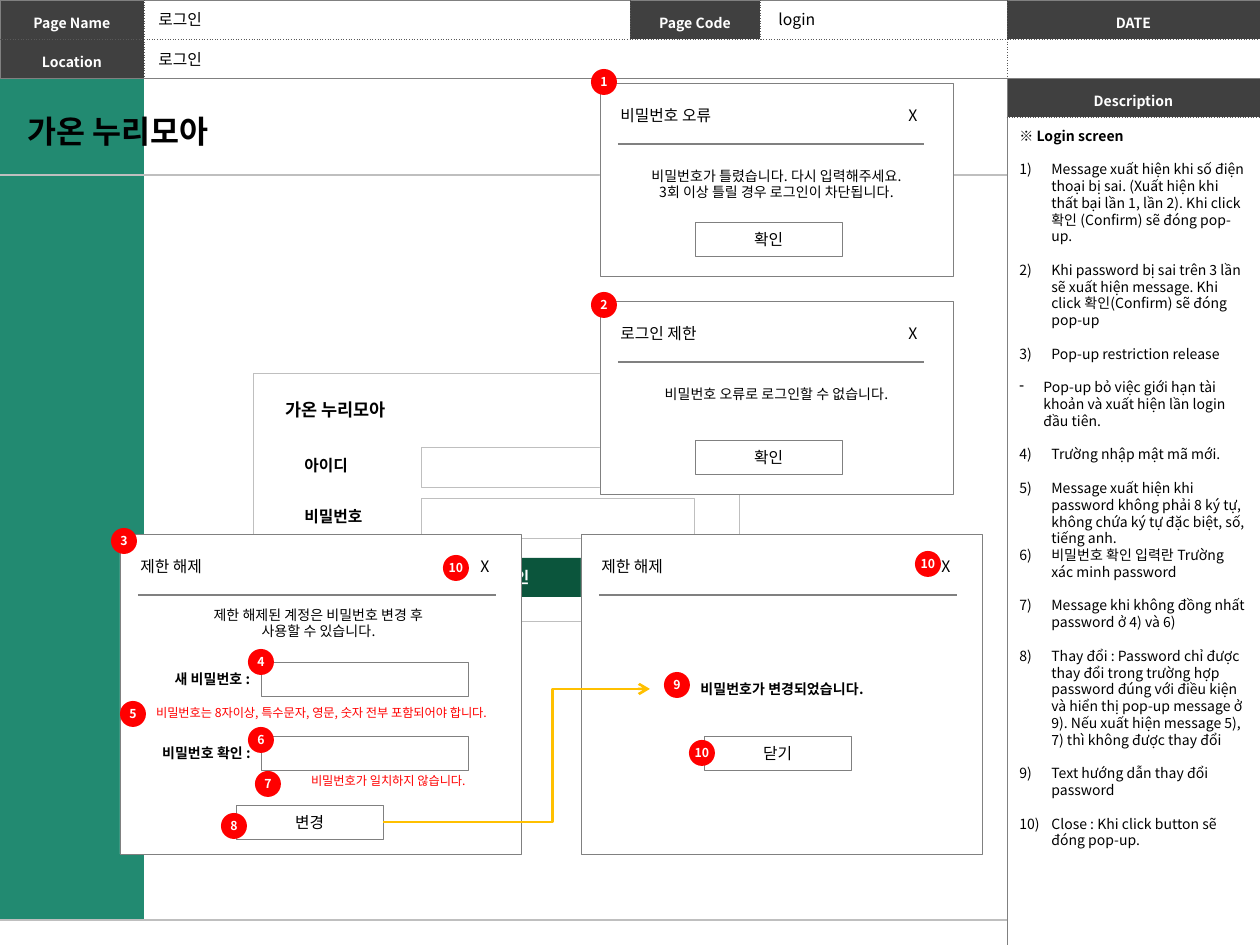
from lxml.etree import SubElement
from pptx import Presentation
from pptx.dml.color import RGBColor
from pptx.enum.shapes import MSO_CONNECTOR as Connector, MSO_SHAPE as Shape
from pptx.enum.text import MSO_ANCHOR as Anchor, PP_ALIGN as Align
from pptx.oxml import parse_xml
from pptx.oxml.ns import nsdecls, qn
from pptx.util import Emu, Pt

FONT = "Noto Sans CJK KR"
SERVICE = "가온 누리모아"
BLACK, WHITE, RED, GRAY, LIGHT = "000000", "FFFFFF", "FF0000", "808080", "BFBFBF"
DARK, DOTTED, GREEN, DEEP_GREEN, AMBER = "404040", "595959", "228A71", "0B553C", "FFC000"
LEFT, CENTER, RIGHT = Align.LEFT, Align.CENTER, Align.RIGHT

NOTES = [
    (None, "※ Login screen", False),
    (1, "Message xuất hiện khi số điện thoại bị sai. (Xuất hiện khi thất bại lần 1, lần 2). Khi click 확인 (Confirm) sẽ đóng pop-up.", True),
    (1, "Khi password bị sai trên 3 lần sẽ xuất hiện message. Khi click 확인(Confirm) sẽ đóng pop-up", True),
    (1, "Pop-up restriction release", True),
    ("-", "Pop-up bỏ việc giới hạn tài khoản và xuất hiện lần login đầu tiên.", True),
    (4, "Trường nhập mật mã mới.", True),
    (4, "Message xuất hiện khi password không phải 8 ký tự, không chứa ký tự đặc biệt, số, tiếng anh.", True),
    (4, "비밀번호 확인 입력란 Trường xác minh password", False),
    (4, "Message khi không đồng nhất password ở 4) và 6)", True),
    (4, "Thay đổi : Password chỉ được thay đổi trong trường hợp password đúng với điều kiện và hiển thị pop-up message ở 9). Nếu xuất hiện message 5), 7) thì không được thay đổi", True),
    (4, "Text hướng dẫn thay đổi password", True),
    (4, "Close : Khi click button sẽ đóng pop-up.", True),
]
BADGES = [
    (1, 591, 69), (2, 591, 292), (3, 111, 528), (4, 248, 649), (5, 120, 701), (6, 248, 727),
    (7, 255, 771), (8, 221, 813), (9, 664, 672), (10, 689, 740), (10, 915, 551), (10, 443, 555),
]


def px(count):
    return Emu(round(count * 914400 / 126))


def color(value):
    return RGBColor.from_string(value)


def style_text(frame, text, size, tint, bold=False, align=LEFT, spacing=None, hang=0):
    frame.text = text
    for para in frame.paragraphs:
        para.alignment = align
        if spacing:
            para.line_spacing = spacing
        if hang:
            set_hang(para, hang)
        for span in para.runs:
            span.font.size, span.font.bold, span.font.name = Pt(size), bold, FONT
            span.font.color.rgb = color(tint)
            SubElement(span.font._element, qn("a:ea"), typeface=FONT)


def set_hang(para, hang):
    properties = para._p.get_or_add_pPr()
    properties.set("marL", str(px(hang)))
    properties.set("indent", str(-px(hang)))
    return properties


def add_text(shapes, text, left, top, width, height, size=9, tint=BLACK, wrap=True, **style):
    box = shapes.add_textbox(px(left), px(top), px(width), px(height))
    box.text_frame.word_wrap = wrap
    style_text(box.text_frame, text, size, tint, **style)
    return box


def add_block(shapes, left, top, width, height, fill=WHITE, line=None, kind=Shape.RECTANGLE):
    block = shapes.add_shape(kind, px(left), px(top), px(width), px(height))
    block.shadow.inherit = False
    block.fill.solid()
    block.fill.fore_color.rgb = color(fill)
    if line:
        block.line.color.rgb = color(line)
        block.line.width = Pt(0.25)
    else:
        block.line.fill.background()
    return block


def add_button(shapes, text, left, top, width=147, height=34, fill=WHITE, line=GRAY, tint=BLACK, bold=False):
    button = add_block(shapes, left, top, width, height, fill, line)
    button.text_frame.vertical_anchor = Anchor.MIDDLE
    style_text(button.text_frame, text, 9, tint, bold, CENTER)
    return button


def add_badge(shapes, number, left, top):
    badge = add_block(shapes, left, top, 26, 26, RED, kind=Shape.OVAL)
    frame = badge.text_frame
    frame.margin_left = frame.margin_right = frame.margin_top = frame.margin_bottom = 0
    frame.vertical_anchor, frame.word_wrap = Anchor.MIDDLE, False
    style_text(frame, str(number), 7, WHITE, True, CENTER)


def add_line(shapes, start, end, tint, width, kind=Connector.STRAIGHT):
    line = shapes.add_connector(kind, *map(px, start + end))
    line.line.color.rgb = color(tint)
    line.line.width = Pt(width)
    SubElement(line._element.spPr, qn("a:effectLst"))
    return line


def add_arrow(shapes, button, start, end):
    arrow = add_line(shapes, start, end, AMBER, 1.5, Connector.ELBOW)
    arrow.begin_connect(button, 3)
    guides = arrow._element.spPr.find(qn("a:prstGeom")).get_or_add_avLst()
    SubElement(guides, qn("a:gd"), name="adj1", fmla="val 63500")
    SubElement(arrow.line._get_or_add_ln(), qn("a:tailEnd"), type="arrow")


def add_popup(shapes, title, left, top, width, height, rule):
    add_block(shapes, left, top, width, height, WHITE, GRAY)
    rule_left, rule_top = left + 18, top + 61
    add_line(shapes, (rule_left, rule_top), (rule_left + rule, rule_top), GRAY, 0.75)
    add_text(shapes, title, left + 8, top + 11, 195, 36, spacing=1.3)
    add_text(shapes, "X", rule_left + rule - 28, top + 11, 48, 48, spacing=1.3)


def add_alert(page, title, message, top):
    shapes = page.shapes.add_group_shape().shapes
    add_popup(shapes, title, 600, top, 353, 193, 306)
    add_text(shapes, message, 609, top + 78, 335, 47, 8, align=CENTER, hang=11)
    add_button(shapes, "확인", 695, top + 139)


def add_grid(page, left, top, widths, heights, labels, merged=None):
    rows, columns = len(heights), len(widths)
    table = page.shapes.add_table(rows, columns, px(left), px(top), px(sum(widths)), px(sum(heights))).table
    table.first_row = table.horz_banding = False
    for column, width in zip(table.columns, widths):
        column.width = px(width)
    for row, height in zip(table.rows, heights):
        row.height = px(height)
    if merged:
        table.cell(*merged[0]).merge(table.cell(*merged[1]))
    for r in range(rows):
        for c in range(columns):
            cell = table.cell(r, c)
            cell.margin_left = cell.margin_right = cell.margin_top = cell.margin_bottom = px(5)
            cell.vertical_anchor = Anchor.MIDDLE
            if (r, c) in labels:
                cell.fill.solid()
                cell.fill.fore_color.rgb = color(DARK)
                style_text(cell.text_frame, labels[r, c], 8, WHITE, True, CENTER, 1.3)
            else:
                cell.fill.background()
                SubElement(cell.text_frame.paragraphs[0]._p, qn("a:endParaRPr"), sz="800")
            edges = {"L": c == 0, "R": c == columns - 1, "T": r == 0, "B": r == rows - 1}
            set_borders(cell, edges)


def set_borders(cell, edges):
    for index, (side, outer) in enumerate(edges.items()):
        tint, dash = (GRAY, "solid") if outer else (DOTTED, "sysDot")
        border = parse_xml(
            f'<a:ln{side} {nsdecls("a")} w="6350"><a:solidFill><a:srgbClr val="{tint}"/></a:solidFill>'
            f'<a:prstDash val="{dash}"/></a:ln{side}>')
        cell._tc.get_or_add_tcPr().insert(index, border)


def add_notes(shapes):
    text = "\n".join(note for _, note, _ in NOTES)
    box = add_text(shapes, text, 1007, 121, 253, 792, 8)
    for para, (marker, _, gap) in zip(box.text_frame.paragraphs, NOTES):
        if gap:
            para.space_before = Pt(9.6)
        if marker is None:
            para.runs[0].font.bold = True
        elif marker == "-":
            SubElement(set_hang(para, 24), qn("a:buChar"), char=marker)
        else:
            SubElement(set_hang(para, 32), qn("a:buAutoNum"), type="arabicParenR", startAt=str(marker))


def add_login_card(shapes):
    add_block(shapes, 253, 373, 486, 248, WHITE, LIGHT)
    add_text(shapes, SERVICE, 273, 393, 446, 34, 10, bold=True)
    for label, top in (("아이디", 447), ("비밀번호", 498)):
        add_block(shapes, 421, top, 273, 40, WHITE, LIGHT)
        add_text(shapes, label, 292, top + 3, 125, 32, bold=True)
    add_button(shapes, "로그인", 319, 558, 377, 39, DEEP_GREEN, None, WHITE, True)


def add_release_popups(shapes):
    add_popup(shapes, "제한 해제", 120, 534, 401, 320, 358)
    add_text(shapes, "제한 해제된 계정은 비밀번호 변경 후\n사용할 수 있습니다.", 151, 600, 335, 47, 8, align=CENTER, hang=11)
    for label, left, top in (("새 비밀번호 :", 148, 662), ("비밀번호 확인 :", 142, 736)):
        add_text(shapes, label, left, top + 2, 129, 30, 8, bold=True, align=CENTER, hang=11)
        add_block(shapes, 261, top, 207, 34, WHITE, GRAY)
    add_text(shapes, "비밀번호가 일치하지 않습니다.", 213, 767, 265, 28, 7, RED, align=RIGHT, hang=11)
    add_text(shapes, "비밀번호는 8자이상, 특수문자, 영문, 숫자 전부 포함되어야 합니다.", 132, 699, 379, 28, 7, RED, align=CENTER, hang=11)
    change = add_button(shapes, "변경", 236, 805)
    add_popup(shapes, "제한 해제", 581, 534, 401, 320, 358)
    add_text(shapes, "비밀번호가 변경되었습니다.", 634, 674, 296, 30, 8, bold=True, align=CENTER, hang=11)
    add_button(shapes, "닫기", 704, 736)
    add_arrow(shapes, change, (383, 822), (650, 689))


def main():
    deck = Presentation()
    deck.slide_width, deck.slide_height = px(1260), px(945)
    page = deck.slides.add_slide(deck.slide_layouts[6])
    shapes = page.shapes
    header = {(0, 0): "Page Name", (0, 2): "Page Code", (0, 4): "DATE", (1, 0): "Location"}
    add_grid(page, 0, 0, [144, 486, 130, 247, 253], [39, 39], header, ((1, 1), (1, 3)))
    add_grid(page, 1007, 78, [253], [39, 828], {(0, 0): "Description"})
    add_line(shapes, (0, 920), (1007, 920), LIGHT, 1.5)
    add_block(shapes, 0, 79, 144, 840, GREEN)
    add_login_card(shapes)
    add_notes(shapes)
    add_text(shapes, SERVICE, 15, 106, 213, 50, 18, bold=True, wrap=False)
    add_line(shapes, (0, 175), (1007, 175), LIGHT, 1.5)
    for text, left, top, width in (("로그인", 146, 4, 71), ("login", 766, 4, 62), ("로그인", 146, 44, 71)):
        add_text(shapes, text, left, top, width, 31, wrap=False)
    add_alert(page, "비밀번호 오류", "비밀번호가 틀렸습니다. 다시 입력해주세요.\n3회 이상 틀릴 경우 로그인이 차단됩니다.", 83)
    add_alert(page, "로그인 제한", "비밀번호 오류로 로그인할 수 없습니다.", 301)
    add_release_popups(shapes)
    for number, left, top in BADGES:
        add_badge(shapes, number, left, top)
    deck.save("out.pptx")


if __name__ == "__main__":
    main()
